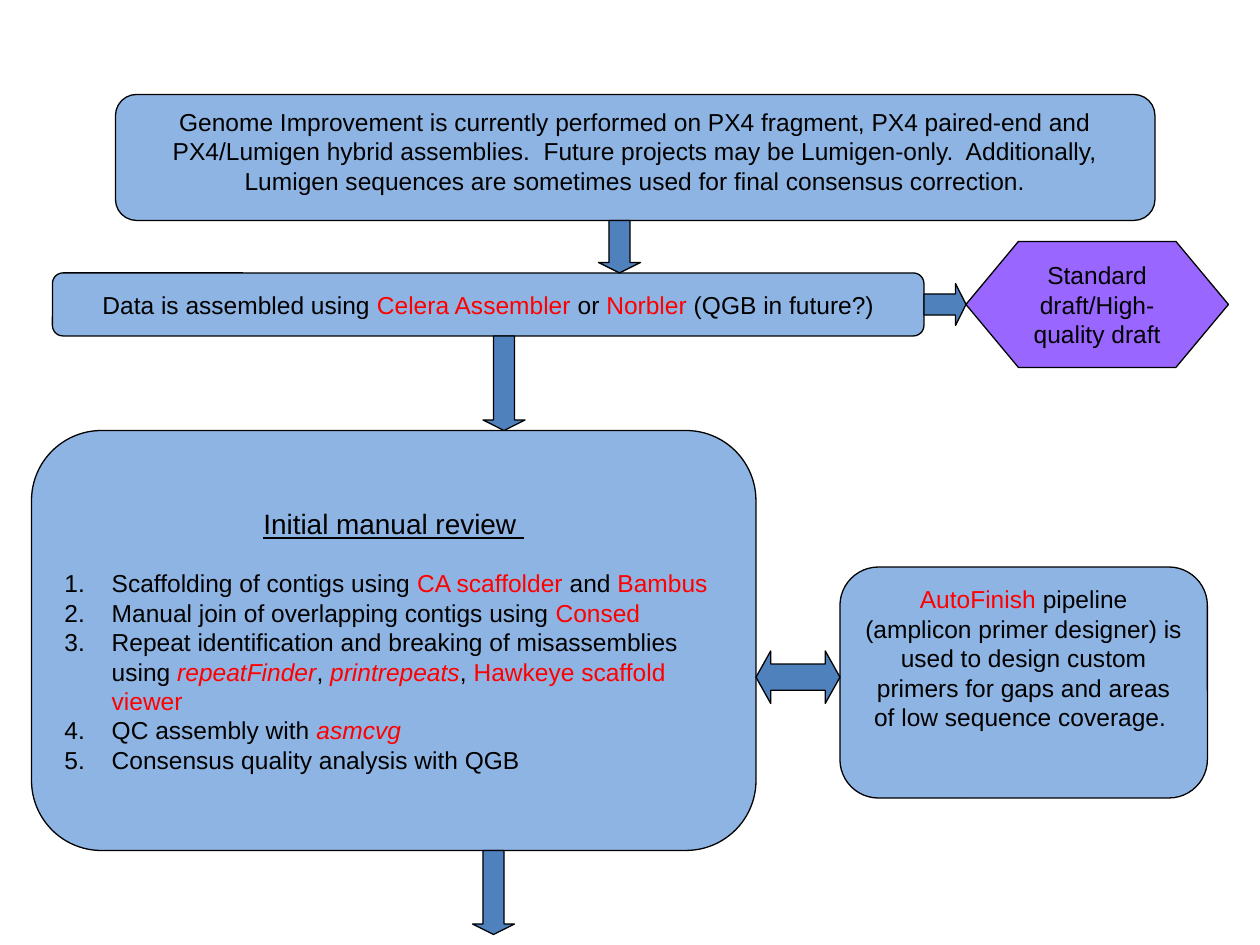
"""Build the genome improvement workflow slide."""
from dataclasses import dataclass

from lxml import etree
from pptx import Presentation
from pptx.dml.color import RGBColor
from pptx.enum.shapes import MSO_SHAPE
from pptx.enum.text import MSO_ANCHOR, PP_ALIGN
from pptx.oxml.ns import qn
from pptx.util import Pt

PX = 7620
BOX = MSO_SHAPE.FLOWCHART_ALTERNATE_PROCESS
HEXAGON = MSO_SHAPE.FLOWCHART_PREPARATION
DOWN = MSO_SHAPE.DOWN_ARROW
RIGHT = MSO_SHAPE.RIGHT_ARROW
BOTH = MSO_SHAPE.LEFT_RIGHT_ARROW
TOP, MIDDLE = MSO_ANCHOR.TOP, MSO_ANCHOR.MIDDLE
CENTER, LEFT = PP_ALIGN.CENTER, PP_ALIGN.LEFT


@dataclass(frozen=True)
class Theme:
    box: RGBColor = RGBColor(0x8E, 0xB4, 0xE3)
    arrow: RGBColor = RGBColor(0x4F, 0x81, 0xBD)
    draft: RGBColor = RGBColor(0x99, 0x66, 0xFF)
    ink: RGBColor = RGBColor(0, 0, 0)
    tool: RGBColor = RGBColor(0xFF, 0, 0)
    font: str = "Arial"
    body: int = 14
    heading: int = 16
    line: float = 0.75


theme = Theme()


def add_shape(kind, box, fill):
    sp = s.shapes.add_shape(kind, *(v * PX for v in box))
    sp.shadow.inherit = False
    sp.fill.solid()
    sp.fill.fore_color.rgb = fill
    sp.line.color.rgb = theme.ink
    sp.line.width = Pt(theme.line)
    return sp


def write(p, parts, align=CENTER, size=theme.body):
    p.alignment = align
    for text, style in parts:
        r = p.add_run()
        r.text = text
        r.font.name = theme.font
        r.font.size = Pt(size)
        r.font.color.rgb = theme.tool if "tool" in style else theme.ink
        r.font.italic = "italic" in style
        r.font.underline = "underline" in style


prs = Presentation()
prs.slide_width = 1200 * PX
prs.slide_height = 900 * PX
s = prs.slides.add_slide(prs.slide_layouts[6])

boxes = [
    (BOX, (110, 90, 990, 120), theme.box, TOP, True, [
        ("Genome Improvement is currently performed on PX4 fragment, PX4 paired-end and "
         "PX4/Lumigen hybrid assemblies.  Future projects may be Lumigen-only.  "
         "Additionally, Lumigen sequences are sometimes used for final consensus "
         "correction.", "")]),
    (BOX, (50, 260, 830, 60), theme.box, MIDDLE, False, [
        ("Data is assembled using ", ""), ("Celera Assembler", "tool"), (" or ", ""),
        ("Norbler ", "tool"), ("(QGB in future?)", "")]),
    (BOX, (800, 540, 350, 220), theme.box, TOP, True, [
        ("AutoFinish ", "tool"),
        ("pipeline (amplicon primer designer) is used to design custom primers for gaps "
         "and areas of low sequence coverage. ", "")]),
    (HEXAGON, (920, 230, 250, 120), theme.draft, MIDDLE, True, [
        ("Standard draft/High-quality draft", "")]),
]
for kind, box, fill, anchor, wrap, parts in boxes:
    tf = add_shape(kind, box, fill).text_frame
    tf.word_wrap = wrap
    tf.vertical_anchor = anchor
    write(tf.paragraphs[0], parts)

steps = [
    [("Scaffolding of contigs using ", ""), ("CA scaffolder ", "tool"), ("and ", ""),
     ("Bambus", "tool")],
    [("Manual join of overlapping contigs using ", ""), ("Consed", "tool")],
    [("Repeat identification and breaking of misassemblies using ", ""),
     ("repeatFinder", "tool italic"), (", ", ""), ("printrepeats", "tool italic"),
     (", ", ""), ("Hawkeye scaffold viewer", "tool")],
    [("QC assembly with ", ""), ("asmcvg", "tool italic")],
    [("Consensus quality analysis with QGB", "")],
]
tf = add_shape(BOX, (30, 410, 690, 400), theme.box).text_frame
tf.word_wrap = True
tf.vertical_anchor = MIDDLE
p = tf.paragraphs[0]
write(p, [("Initial manual review ", "underline")], size=theme.heading)
p.space_after = Pt(16)
for step in steps:
    p = tf.add_paragraph()
    pPr = p._p.get_or_add_pPr()
    pPr.set("marL", str(45 * PX))
    pPr.set("indent", str(-45 * PX))
    etree.SubElement(pPr, qn("a:buFont"), typeface=theme.font)
    etree.SubElement(pPr, qn("a:buAutoNum"), type="arabicPeriod")
    write(p, step, LEFT)

arrows = [
    (BOTH, (720, 620, 80, 50), 0.28),
    (RIGHT, (880, 270, 40, 40), 0.25),
    (DOWN, (570, 210, 40, 50), 0.25),
    (DOWN, (450, 810, 40, 80), 0.25),
    (DOWN, (460, 320, 40, 90), 0.25),
]
for kind, box, head in arrows:
    sp = add_shape(kind, box, theme.arrow)
    sp.adjustments[0] = 0.5
    sp.adjustments[1] = head

prs.save("out.pptx")
